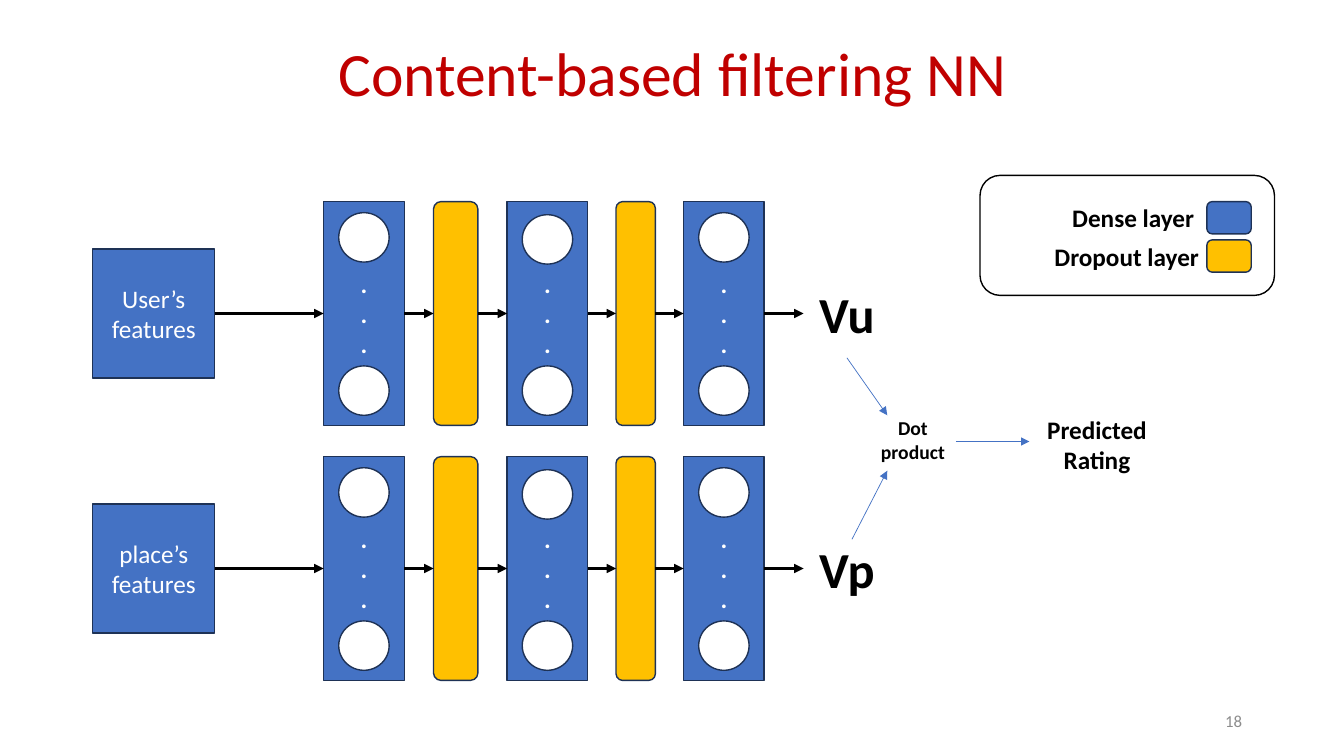
from pptx import Presentation
from pptx.dml.color import RGBColor
from pptx.enum.shapes import MSO_CONNECTOR, MSO_SHAPE
from pptx.enum.text import MSO_ANCHOR, PP_ALIGN
from pptx.oxml.ns import qn
from pptx.util import Pt
from lxml.etree import SubElement

PX = 9144  # 100 px to the inch
BLUE, GOLD, NAVY = "4472C4", "FFC000", "1E3256"
WHITE, BLACK, RED, GREY = "FFFFFF", "000000", "C00000", "8C8C8C"

BAR_TOP, BAR_HEIGHT = 200, 222
BRANCH_STEP = 253
DENSE_WIDTH = 80
# left edge of each dense layer, top of its first neuron
DENSE = [(321, 211), (503, 213), (678, 211)]
# left edge and width of each dropout layer
DROPOUT = [(430, 44), (611, 39)]


def emu(*lengths):
    return [n * PX for n in lengths]


def rgb(color):
    return RGBColor.from_string(color)


def write(shape, lines, size, color, bold=False, align=PP_ALIGN.CENTER, spacing=1.0):
    tf = shape.text_frame
    tf.word_wrap = True
    tf.vertical_anchor = MSO_ANCHOR.MIDDLE
    tf.margin_left = tf.margin_right = tf.margin_top = tf.margin_bottom = 0
    for i, line in enumerate(lines):
        p = tf.add_paragraph() if i else tf.paragraphs[0]
        p.alignment = align
        p.line_spacing = spacing
        r = p.add_run()
        r.text = line
        r.font.name = "Calibri"
        r.font.size = Pt(size)
        r.font.bold = bold
        r.font.color.rgb = rgb(color)


def add_text(s, box, text, size, color=BLACK, bold=True, **layout):
    write(s.shapes.add_textbox(*emu(*box)), [text], size, color, bold, **layout)


def add_box(s, kind, box, fill=None, line=NAVY):
    sp = s.shapes.add_shape(kind, *emu(*box))
    sp.shadow.inherit = False
    if fill:
        sp.fill.solid()
        sp.fill.fore_color.rgb = rgb(fill)
    else:
        sp.fill.background()
    if line:
        sp.line.color.rgb = rgb(line)
        sp.line.width = Pt(1)
    else:
        sp.line.fill.background()
    return sp


def add_arrow(s, start, end, color=BLACK, width=2.25):
    c = s.shapes.add_connector(MSO_CONNECTOR.STRAIGHT, *emu(*start, *end))
    c.line.color.rgb = rgb(color)
    c.line.width = Pt(width)
    SubElement(c.line._get_or_add_ln(), qn("a:tailEnd"), type="triangle")
    SubElement(c._element.spPr, qn("a:effectLst"))


def add_branch(s, dy, features, vector):
    """Draw one network row, shifted down by dy."""
    top = BAR_TOP + dy
    middle = top + BAR_HEIGHT // 2
    for left, neuron_top in DENSE:
        dense = add_box(s, MSO_SHAPE.RECTANGLE, (left, top, DENSE_WIDTH, BAR_HEIGHT), BLUE)
        write(dense, ["."] * 3, 18, WHITE, bold=True)
        for y in (neuron_top, 363):
            add_box(s, MSO_SHAPE.OVAL, (left + 15, y + dy, 50, 49), WHITE)
    for left, width in DROPOUT:
        add_box(s, MSO_SHAPE.ROUNDED_RECTANGLE, (left, top, width, BAR_HEIGHT), GOLD)

    source = add_box(s, MSO_SHAPE.RECTANGLE, (92, 247 + dy, 121, 128), BLUE)
    write(source, [features], 18, WHITE)
    add_text(s, (800, 267 + dy, 80, 87), vector, 36)

    layers = sorted([(left, DENSE_WIDTH) for left, _ in DENSE] + DROPOUT)
    exits = [213] + [left + width for left, width in layers]
    entries = [left for left, _ in layers] + [797]
    for x1, x2 in zip(exits, entries):
        add_arrow(s, (x1, middle), (x2, middle))


def add_rating(s):
    dot = add_box(s, MSO_SHAPE.OVAL, (845, 380, 121, 112), line=None)
    write(dot, ["Dot product"], 14, BLACK, bold=True)
    for start, end in [((840, 355), (880, 412)),
                       ((845, 535), (880, 467)),
                       ((948, 438), (1021, 438))]:
        add_arrow(s, start, end, BLUE, 0.5)
    add_text(s, (1031, 397, 114, 88), "Predicted Rating", 18)


def add_legend(s):
    for y, fill, label, left, width in [(200, BLUE, "Dense layer", 1051, 146),
                                        (238, GOLD, "Dropout layer", 1027, 181)]:
        add_box(s, MSO_SHAPE.ROUNDED_RECTANGLE, (1197, y, 44, 32), fill)
        add_text(s, (left, y, width, 32), label, 18)
    add_box(s, MSO_SHAPE.ROUNDED_RECTANGLE, (972, 174, 292, 119), line=BLACK)


def main():
    prs = Presentation()
    prs.slide_width, prs.slide_height = emu(1333, 750)
    s = prs.slides.add_slide(prs.slide_layouts[6])
    add_text(s, (92, 10, 1150, 132), "Content-based filtering NN", 44, RED,
             bold=False, spacing=0.9)
    branches = [("User’s features", "Vu"), ("place’s features", "Vp")]
    for i, (features, vector) in enumerate(branches):
        add_branch(s, i * BRANCH_STEP, features, vector)
    add_rating(s)
    add_legend(s)
    add_text(s, (942, 695, 290, 40), "18", 12, GREY, bold=False, align=PP_ALIGN.RIGHT)
    prs.save("out.pptx")


if __name__ == "__main__":
    main()
